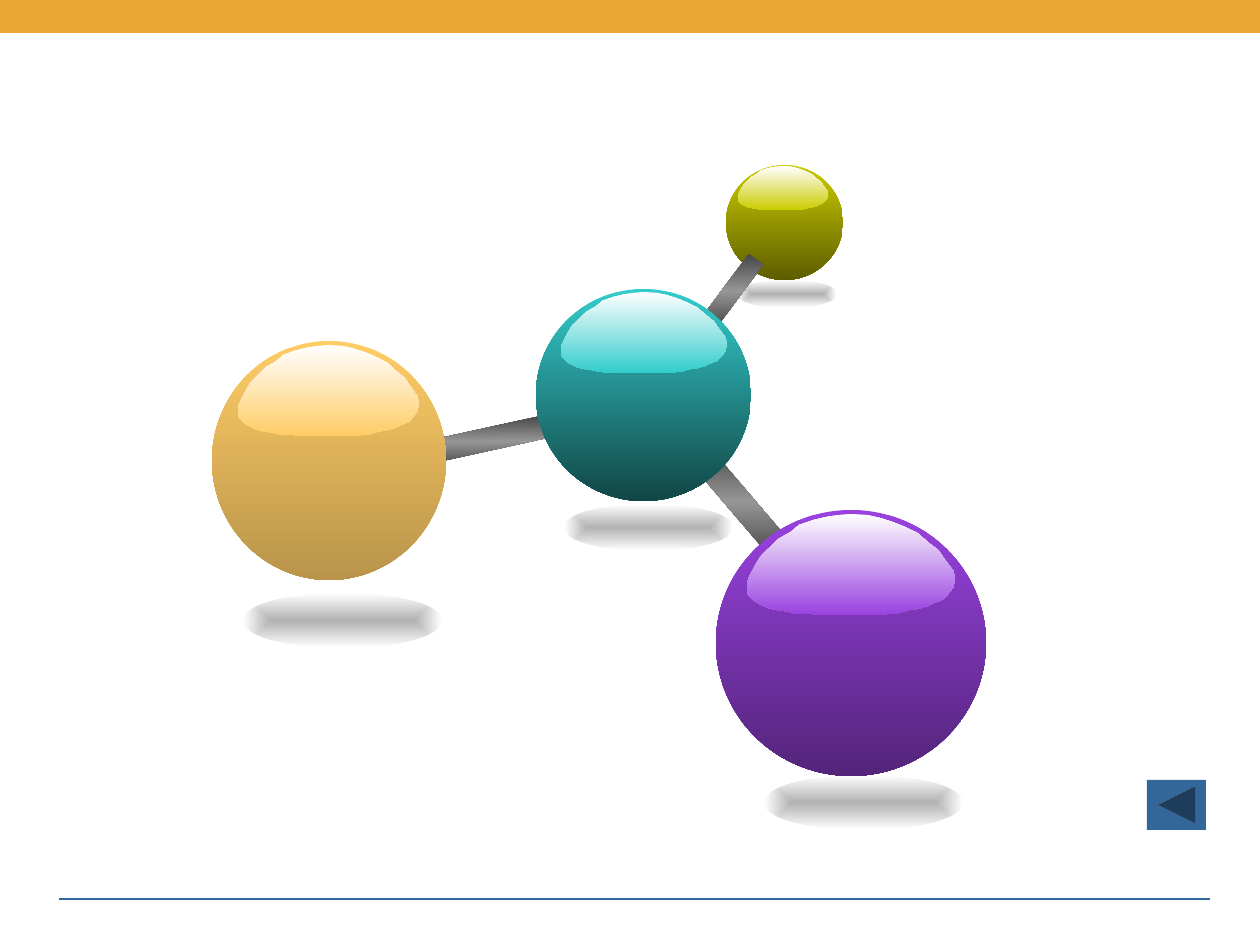
from lxml import etree
from pptx import Presentation
from pptx.dml.color import RGBColor
from pptx.enum.shapes import MSO_CONNECTOR, MSO_SHAPE
from pptx.oxml.ns import qn
from pptx.util import Pt

PX = 914400 // 126
RECT = MSO_SHAPE.RECTANGLE
OVAL = MSO_SHAPE.OVAL
BACK = MSO_SHAPE.ACTION_BUTTON_BACK_OR_PREVIOUS
STRAIGHT = MSO_CONNECTOR.STRAIGHT

BAR = (0, 0, 1260, 33)
RULE = (59, 899, 1210, 899)
BUTTON = (1147, 780, 59, 50)
BLUE = "336699"
METAL = ["454545", "969696", "454545"]
SHADE = ["B2B2B2", "FFFFFF"]

BALLS = [
    ((726, 165, 117, 115), (738, 166, 90, 44), "CCCC00", "5D5D00"),
    ((536, 289, 215, 212), (561, 292, 166, 81), "33CCCC", "124646"),
    ((212, 341, 234, 239), (238, 345, 181, 91), "FFCC66", "B9944A"),
    ((716, 510, 270, 266), (747, 514, 208, 101), "9942E0", "53247A"),
]
SHADOWS = [
    (764, 775, 199, 55),
    (737, 280, 100, 28),
    (564, 504, 169, 47),
    (243, 593, 199, 55),
]
RODS = [
    ((675, 489, 129, 25), 229.5, 220),
    ((410, 430, 136, 23), 347.6, 102),
    ((693, 282, 79, 18), 306.6, 143),
]
GLOSS = [
    (99, 56), (100, 61), (100, 68), (99, 73), (98, 76), (96, 81), (94, 85),
    (90, 88), (87, 91), (82, 94), (78, 95), (73, 98), (68, 99), (60, 100),
    (36, 100), (31, 99), (26, 99), (22, 98), (18, 96), (14, 95), (10, 93),
    (7, 90), (5, 88), (3, 85), (1, 81), (0, 78), (0, 68), (1, 63), (4, 51),
    (7, 41), (11, 33), (15, 25), (21, 18), (25, 11), (32, 6), (38, 3),
    (44, 1), (50, 0), (58, 1), (64, 4), (70, 8), (76, 13), (82, 19),
    (87, 28), (92, 36), (95, 45),
]


def emu(box):
    return [v * PX for v in box]


def color(code):
    return RGBColor.from_string(code)


def plain(shape):
    shape.shadow.inherit = False
    shape.line.fill.background()
    return shape


def add(slide, kind, box):
    return plain(slide.shapes.add_shape(kind, *emu(box)))


def solid(shape, code):
    shape.fill.solid()
    shape.fill.fore_color.rgb = color(code)


def blend(shape, codes, angle=None):
    shape.fill.gradient()
    grad = shape._element.spPr.find(qn("a:gradFill"))
    for child in list(grad):
        grad.remove(child)
    grad.set("rotWithShape", "1")
    stops = etree.SubElement(grad, qn("a:gsLst"))
    for i, code in enumerate(codes):
        stop = etree.SubElement(stops, qn("a:gs"), pos=str(i * 100000 // (len(codes) - 1)))
        etree.SubElement(stop, qn("a:srgbClr"), val=code)
    if angle is None:
        path = etree.SubElement(grad, qn("a:path"), path="rect")
        etree.SubElement(path, qn("a:fillToRect"), l="50000", t="50000", r="50000", b="50000")
    else:
        etree.SubElement(grad, qn("a:lin"), ang=str(angle * 60000), scaled="0")


def add_ball(slide, box, shine, light, dark):
    blend(add(slide, OVAL, box), [light, dark], 90)
    left, top, width, height = emu(shine)
    points = [(left + x * width // 100, top + y * height // 100) for x, y in GLOSS]
    path = slide.shapes.build_freeform(*points[0])
    path.add_line_segments(points[1:], close=True)
    blend(plain(path.convert_to_shape()), ["FFFFFF", light], 90)


def add_rule(slide):
    rule = slide.shapes.add_connector(STRAIGHT, *emu(RULE))
    rule.line.color.rgb = color(BLUE)
    rule.line.width = Pt(0.75)
    etree.SubElement(rule._element.spPr, qn("a:effectLst"))


def main():
    deck = Presentation()
    deck.slide_width, deck.slide_height = emu((1260, 945))
    slide = deck.slides.add_slide(deck.slide_layouts[6])
    solid(add(slide, RECT, BAR), "EBA533")
    add_rule(slide)
    add_ball(slide, *BALLS[0])
    for box in SHADOWS:
        blend(add(slide, OVAL, box), SHADE)
    for box, turn, angle in RODS:
        rod = add(slide, RECT, box)
        rod.rotation = turn
        blend(rod, METAL, angle)
    for ball in BALLS[1:]:
        add_ball(slide, *ball)
    solid(add(slide, BACK, BUTTON), BLUE)
    deck.save("out.pptx")


if __name__ == "__main__":
    main()
